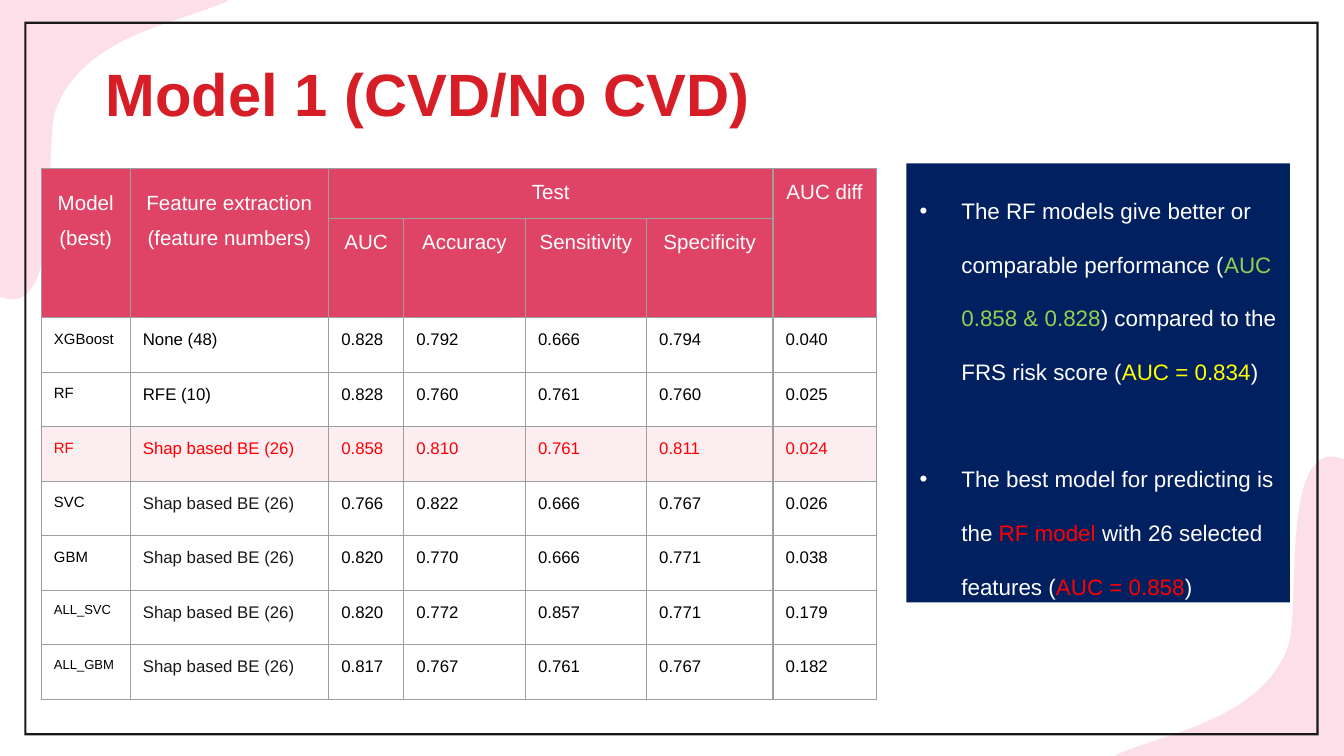
from dataclasses import dataclass

from lxml.etree import SubElement
from pptx import Presentation
from pptx.dml.color import RGBColor
from pptx.enum.shapes import MSO_SHAPE as Preset
from pptx.enum.text import MSO_ANCHOR as Anchor, PP_ALIGN as Align
from pptx.oxml import parse_xml
from pptx.oxml.ns import nsdecls, qn
from pptx.util import Cm, Pt

FONT = "Arial"
WHITE = RGBColor(0xFF, 0xFF, 0xFF)
BLACK = RGBColor(0, 0, 0)
INK = RGBColor(0x19, 0x19, 0x19)
PINK = RGBColor(0xFA, 0xBE, 0xD2)
TITLE_RED = RGBColor(0xD7, 0x1D, 0x26)
ROSE = RGBColor(0xDF, 0x43, 0x65)
BLUSH = RGBColor(0xFC, 0xED, 0xF1)
RED = RGBColor(0xFF, 0, 0)
NAVY = RGBColor(0, 0x20, 0x60)
GREEN = RGBColor(0x92, 0xD0, 0x50)
YELLOW = RGBColor(0xFF, 0xFF, 0)
BORDER = RGBColor(0x9E, 0x9E, 0x9E)

PAGE_WIDTH, PAGE_HEIGHT = 25.4, 14.29
COLUMNS = (1.68, 3.75, 1.42, 2.3, 2.29, 2.39, 1.95)
HEADER_ROWS = (0.91, 1.3)
DATA_ROW = 1.03

# Corner blob in hundredths of a cm from the page corner:
# each segment is a line (one point) or a cubic curve (three points)
UNITS = 100
BLOB_START = (23, 566)
BLOB_SEGMENTS = (
    ((18, 566), (8, 564), (0, 561)),
    ((0, 0),),
    ((432, 0),),
    ((432, 0), (429, 0), (429, 3)),
    ((368, 28), (305, 43), (246, 71)),
    ((185, 99), (130, 142), (107, 203)),
    ((81, 264), (119, 566), BLOB_START),
)


@dataclass
class Span:
    text: str
    color: RGBColor = WHITE


@dataclass
class Header:
    text: str
    row: int
    column: int
    last_row: int
    last_column: int
    spacing: float = 1.0


@dataclass
class Result:
    model: str
    features: str
    scores: str
    model_size: int = 8
    color: RGBColor = BLACK
    feature_color: RGBColor = INK
    fill: RGBColor = WHITE


HEADERS = [
    Header("Model (best)", 0, 0, 1, 0, 1.5),
    Header("Feature extraction (feature numbers)", 0, 1, 1, 1, 1.5),
    Header("Test", 0, 2, 0, 5),
    Header("AUC diff", 0, 6, 1, 6),
] + [Header(name, 1, column, 1, column) for column, name in
     enumerate(("AUC", "Accuracy", "Sensitivity", "Specificity"), start=2)]

SHAP = "Shap based BE (26)"
RESULTS = [
    Result("XGBoost", "None (48)", "0.828 0.792 0.666 0.794 0.040", feature_color=BLACK),
    Result("RF", "RFE (10)", "0.828 0.760 0.761 0.760 0.025", feature_color=BLACK),
    Result("RF", SHAP, "0.858 0.810 0.761 0.811 0.024", 8, RED, RED, BLUSH),
    Result("SVC", SHAP, "0.766 0.822 0.666 0.767 0.026"),
    Result("GBM", SHAP, "0.820 0.770 0.666 0.771 0.038"),
    Result("ALL_SVC", SHAP, "0.820 0.772 0.857 0.771 0.179", 7),
    Result("ALL_GBM", SHAP, "0.817 0.767 0.761 0.767 0.182", 7),
]

FINDINGS = [
    [Span("The RF models give better or comparable performance ("),
     Span("AUC 0.858 & 0.828", GREEN),
     Span(") compared to the FRS risk score ("),
     Span("AUC = 0.834", YELLOW), Span(")")],
    [Span("The best model for predicting is the "), Span("RF model ", RED),
     Span("with 26 selected features ("), Span("AUC = 0.858", RED), Span(")")],
]


def add_span(para, text: str, size: float, color: RGBColor, bold: bool = False) -> None:
    span = para.add_run()
    span.text = text
    span.font.name, span.font.size, span.font.bold = FONT, Pt(size), bold
    span.font.color.rgb = color


def paint(shape, color: RGBColor) -> None:
    shape.shadow.inherit = False
    shape.fill.solid()
    shape.fill.fore_color.rgb = color
    shape.line.fill.background()


def add_blob(page, at_end: bool) -> None:
    def place(point: tuple) -> tuple:
        x, y = point
        if at_end:
            return round(PAGE_WIDTH * UNITS) - x, round(PAGE_HEIGHT * UNITS) - y
        return x, y

    corners = [place(BLOB_START)] + [place(segment[-1]) for segment in BLOB_SEGMENTS]
    left, top = (min(values) for values in zip(*corners))
    builder = page.shapes.build_freeform(*corners[0], scale=Cm(1) / UNITS)
    builder.add_line_segments(corners[1:], close=True)
    blob = builder.convert_to_shape()

    # Turn the straight segments that have control points into curves
    lines = list(blob._element.iter(qn("a:lnTo")))
    for line, segment in zip(lines, BLOB_SEGMENTS):
        if len(segment) == 3:
            line.tag = qn("a:cubicBezTo")
            line.remove(line[0])
            for x, y in map(place, segment):
                SubElement(line, qn("a:pt"), x=str(x - left), y=str(y - top))

    paint(blob, PINK)
    color = blob._element.spPr.find(qn("a:solidFill"))[0]
    SubElement(color, qn("a:alpha"), val="49000")


def style_cell(cell, fill: RGBColor) -> None:
    margin = Cm(0) if cell.is_spanned else Cm(0.24)
    cell.margin_left = cell.margin_right = margin
    cell.margin_top = cell.margin_bottom = margin
    cell.fill.solid()
    cell.fill.fore_color.rgb = fill
    properties = cell._tc.get_or_add_tcPr()
    for index, side in enumerate(("lnL", "lnR", "lnT", "lnB")):
        properties.insert(index, parse_xml(
            f'<a:{side} {nsdecls("a")} w="{Pt(0.75)}"><a:solidFill>'
            f'<a:srgbClr val="{BORDER}"/></a:solidFill></a:{side}>'))


def add_results_table(page) -> None:
    heights = HEADER_ROWS + (DATA_ROW,) * len(RESULTS)
    table = page.shapes.add_table(len(heights), len(COLUMNS), Cm(0.78), Cm(3.18),
                                  Cm(sum(COLUMNS)), Cm(sum(heights))).table
    table.first_row = table.horz_banding = False
    for column, width in zip(table.columns, COLUMNS):
        column.width = Cm(width)
    for row, height in zip(table.rows, heights):
        row.height = Cm(height)

    for header in HEADERS:
        cell = table.cell(header.row, header.column)
        if (header.row, header.column) != (header.last_row, header.last_column):
            cell.merge(table.cell(header.last_row, header.last_column))
        para = cell.text_frame.paragraphs[0]
        para.alignment, para.line_spacing = Align.CENTER, header.spacing
        add_span(para, header.text, 11, WHITE)

    fills = [ROSE] * len(HEADER_ROWS) + [result.fill for result in RESULTS]
    for row, fill in zip(table.rows, fills):
        for cell in row.cells:
            style_cell(cell, fill)

    for row, result in enumerate(RESULTS, start=len(HEADER_ROWS)):
        entries = [(result.model, result.model_size, result.color),
                   (result.features, 9, result.feature_color)]
        entries += [(score, 9, result.color) for score in result.scores.split()]
        for column, entry in enumerate(entries):
            add_span(table.cell(row, column).text_frame.paragraphs[0], *entry)


def add_findings(page) -> None:
    box = page.shapes.add_shape(Preset.RECTANGLE, Cm(17.13), Cm(3.09), Cm(7.25), Cm(8.3))
    paint(box, NAVY)
    frame = box.text_frame
    frame.word_wrap, frame.vertical_anchor = True, Anchor.TOP
    for index, finding in enumerate(FINDINGS):
        para = frame.add_paragraph() if index else frame.paragraphs[0]
        para.alignment, para.line_spacing = Align.LEFT, 2.0
        if index:
            para.space_before = Pt(28.7)
        properties = para._p.get_or_add_pPr()
        properties.set("marL", str(Cm(0.79)))
        properties.set("indent", str(-Cm(0.79)))
        SubElement(SubElement(properties, qn("a:buClr")), qn("a:srgbClr"), val=str(WHITE))
        SubElement(properties, qn("a:buFont"), typeface=FONT)
        SubElement(properties, qn("a:buChar"), char="•")
        for span in finding:
            add_span(para, span.text, 12, span.color)


def main() -> None:
    deck = Presentation()
    deck.slide_width, deck.slide_height = Cm(PAGE_WIDTH), Cm(PAGE_HEIGHT)
    page = deck.slides.add_slide(deck.slide_layouts[6])

    # Background
    add_blob(page, at_end=True)
    add_blob(page, at_end=False)
    border = page.shapes.add_shape(Preset.FRAME, Cm(0.46), Cm(0.41), Cm(24.46), Cm(13.49))
    border.adjustments[0] = 0.003
    paint(border, INK)

    # Title
    title = page.shapes.add_textbox(Cm(0.79), Cm(0.95), Cm(14.6), Cm(1.6)).text_frame
    title.word_wrap, title.vertical_anchor = True, Anchor.MIDDLE
    title.paragraphs[0].alignment = Align.CENTER
    add_span(title.paragraphs[0], "Model 1 (CVD/No CVD)", 32, TITLE_RED, bold=True)

    # Content
    add_results_table(page)
    add_findings(page)
    deck.save("out.pptx")


if __name__ == "__main__":
    main()
